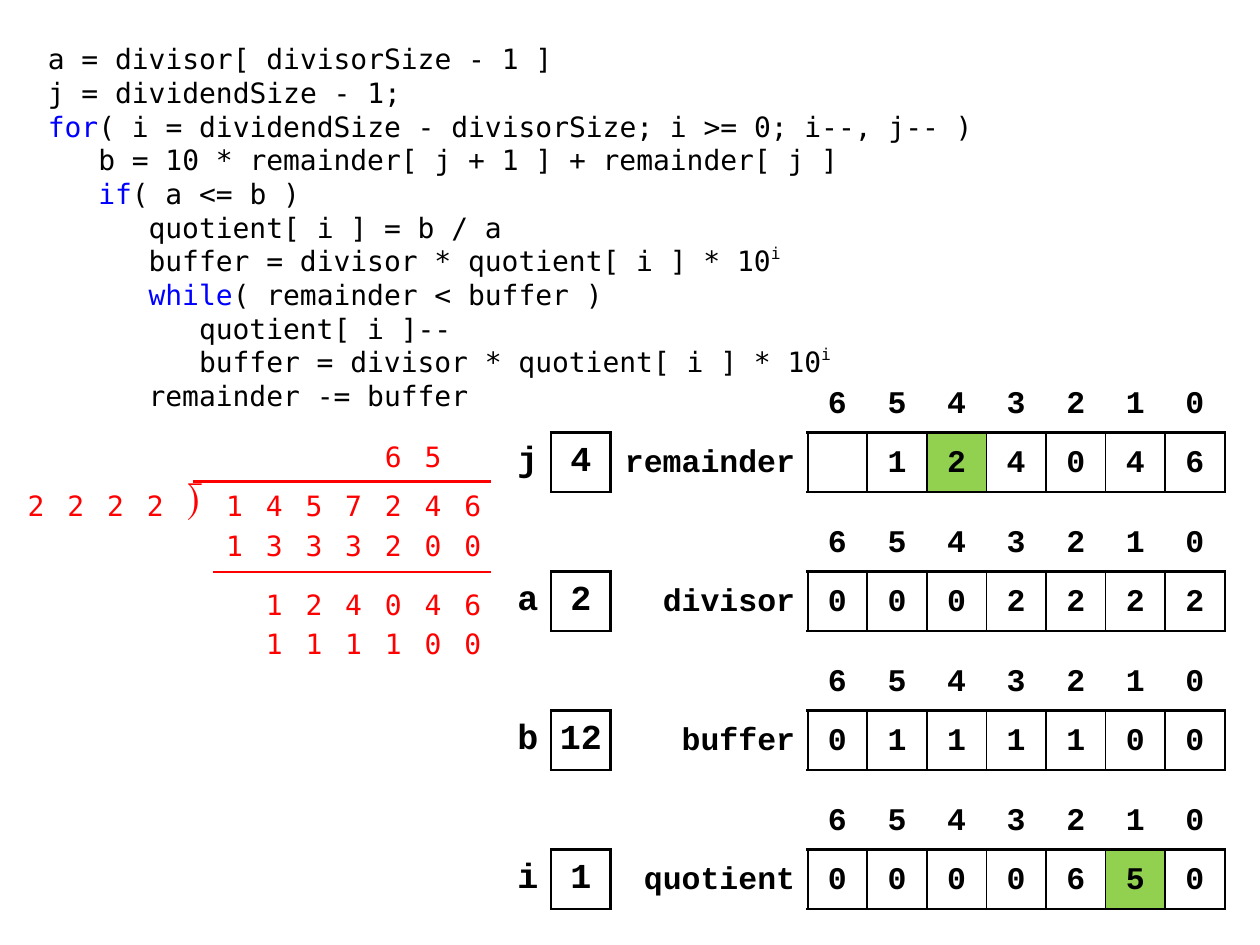
import pptx
import pptx.dml.color
import pptx.enum.shapes
import pptx.enum.text
import pptx.oxml
import pptx.oxml.ns
import pptx.util
from pptx.util import Inches

ALIGN = pptx.enum.text.PP_ALIGN
ANCHOR = pptx.enum.text.MSO_ANCHOR
BLACK, RED, BLUE, GREEN = "000000", "FF0000", "0000FF", "92D050"
CELL = 3.31 / 7
DIGIT = 3.78 / 12
MIDDLE_EDGE = 3.9
ARRAY_LEFT = 4.84
LABEL_WIDTH = 1.57
ARRAY_TOP = 2.96
ARRAY_STEP = 3.31 / 3

CODE = [
    (0, [("a = divisor[ divisorSize - 1 ]", "code")]),
    (0, [("j = dividendSize - 1;", "code")]),
    (0, [("for", "keyword"),
         ("( i = dividendSize - divisorSize; i >= 0; i--, j-- )", "code")]),
    (1, [("b = 10 * remainder[ j + 1 ] + remainder[ j ]", "code")]),
    (1, [("if", "keyword"), ("( a <= b )", "code")]),
    (2, [("quotient[ i ] = b / a", "code")]),
    (2, [("buffer = divisor * quotient[ i ] * 10", "code"), ("i", "power")]),
    (2, [("while", "keyword"), ("( remainder < buffer )", "code")]),
    (3, [("quotient[ i ]--", "code")]),
    (3, [("buffer = divisor * quotient[ i ] * 10", "code"), ("i", "power")]),
    (2, [("remainder -= buffer", "code")]),
]
ARRAYS = [
    ("remainder", " 124046", 2, "j", "4"),
    ("divisor", "0002222", None, "a", "2"),
    ("buffer", "0111100", None, "b", "12"),
    ("quotient", "0000650", 5, "i", "1"),
]
DIVISION = [
    (3.44, " 65 ", ANCHOR.TOP),
    (3.75, "2222⟌1457246", ANCHOR.MIDDLE),
    (4.07, "1333200", ANCHOR.MIDDLE),
    (4.54, " 124046", ANCHOR.MIDDLE),
    (4.85, " 111100", ANCHOR.MIDDLE),
]
RULES = [(1.53, 3.82), (1.69, 4.54)]


def color(value):
    """Turn a hex string into a colour."""
    return pptx.dml.color.RGBColor.from_string(value)


class DivisionSlide:
    """Holds the text styles and the current slide."""

    styles = {
        "code": ({"name": "DejaVu Sans Mono", "size": pptx.util.Pt(16)}, BLACK),
        "keyword": ({"name": "DejaVu Sans Mono", "size": pptx.util.Pt(16)}, BLUE),
        "power": ({"name": "DejaVu Sans Mono", "size": pptx.util.Pt(16)}, BLACK),
        "digit": ({"name": "DejaVu Sans Mono", "size": pptx.util.Pt(16)}, RED),
        "bracket": ({"name": "Cambria", "size": pptx.util.Pt(22)}, RED),
        "array": ({"name": "Courier New", "size": pptx.util.Pt(18), "bold": True}, BLACK),
        "scalar": ({"name": "Courier New", "size": pptx.util.Pt(20), "bold": True}, BLACK),
    }

    def __init__(self, presentation):
        self.slide = presentation.slides.add_slide(presentation.slide_layouts[1])
        title = self.slide.shapes.title.element
        title.getparent().remove(title)

    def add_run(self, paragraph, text, style):
        """Add a run in a named style."""
        run = paragraph.add_run()
        run.text = text
        values, tint = self.styles[style]
        for name, value in values.items():
            setattr(run.font, name, value)
        run.font.color.rgb = color(tint)
        if style == "power":
            run._r.get_or_add_rPr().set("baseline", "44000")

    def add_code(self, left, top, width, height, lines):
        """Write the indented algorithm in the body placeholder."""
        body = self.slide.placeholders[1]
        box = {"left": left, "top": top, "width": width, "height": height}
        for name, value in box.items():
            setattr(body, name, Inches(value))
        frame = body.text_frame
        frame.auto_size = pptx.enum.text.MSO_AUTO_SIZE.NONE
        frame.vertical_anchor = ANCHOR.TOP
        for index, (level, runs) in enumerate(lines):
            paragraph = frame.add_paragraph() if index else frame.paragraphs[0]
            spacing = {"line_spacing": pptx.util.Pt(19.25), "space_before": 0,
                       "space_after": 0, "alignment": ALIGN.LEFT}
            for name, value in spacing.items():
                setattr(paragraph, name, value)
            properties = paragraph._p.get_or_add_pPr()
            properties.set("marL", str(Inches(0.4 * level)))
            properties.set("indent", "0")
            properties.append(pptx.oxml.parse_xml(
                f"<a:buNone {pptx.oxml.ns.nsdecls('a')}/>"))
            for text, style in runs:
                self.add_run(paragraph, text, style)

    def add_table(self, left, top, widths, row_count):
        """Add a plain table with rows of equal height."""
        shape = self.slide.shapes.add_table(
            row_count, len(widths), Inches(left), Inches(top),
            Inches(sum(widths)), Inches(CELL * row_count))
        table = shape.table
        table.first_row = table.horz_banding = False
        style_id = table._tbl.tblPr.find(pptx.oxml.ns.qn("a:tableStyleId"))
        style_id.text = "{2D5ABB26-0587-4C30-8999-92F81FD0307C}"
        for column, width in zip(table.columns, widths):
            column.width = Inches(width)
        for row in table.rows:
            row.height = Inches(CELL)
        return table

    def fill_cell(self, cell, text, style, align=ALIGN.CENTER, anchor=ANCHOR.TOP,
                  inset=(0.1, 0.04), spacing=1.25, borders=None, fill=None):
        """Set the text, borders and fill of one cell."""
        side, end = map(Inches, inset)
        values = {"margin_left": side, "margin_right": side, "margin_top": end,
                  "margin_bottom": end, "vertical_anchor": anchor}
        for name, value in values.items():
            setattr(cell, name, value)
        for edge, points in (borders or {}).items():
            cell._tc.get_or_add_tcPr().append(pptx.oxml.parse_xml(
                f'<a:ln{edge} {pptx.oxml.ns.nsdecls("a")} w="{pptx.util.Pt(points)}">'
                f'<a:solidFill><a:srgbClr val="{BLACK}"/></a:solidFill></a:ln{edge}>'))
        if fill:
            cell.fill.solid()
            cell.fill.fore_color.rgb = color(fill)
        else:
            cell.fill.background()
        paragraph = cell.text_frame.paragraphs[0]
        paragraph.alignment = align
        paragraph.line_spacing = spacing
        if text.strip():
            self.add_run(paragraph, text, style)

    def add_array(self, top, label, digits, marked):
        """Draw a labelled array under its indices."""
        count = len(digits)
        table = self.add_table(ARRAY_LEFT, top, [LABEL_WIDTH] + [CELL] * count, 2)
        self.fill_cell(table.cell(0, 0), "", "array")
        self.fill_cell(table.cell(1, 0), label, "array", ALIGN.RIGHT, borders={"R": 1.5})
        for index, digit in enumerate(digits):
            self.fill_cell(table.cell(0, index + 1), str(count - 1 - index), "array",
                           borders={"B": 1.5})
            borders = {"L": 1 if index else 1.5, "R": 1 if index < count - 1 else 1.5,
                       "T": 1.5, "B": 1.5}
            self.fill_cell(table.cell(1, index + 1), digit, "array", borders=borders,
                           fill=GREEN if index == marked else None)

    def add_scalar(self, top, label, value):
        """Draw a named variable with its boxed value."""
        table = self.add_table(MIDDLE_EDGE, top, [CELL] * 2, 1)
        self.fill_cell(table.cell(0, 0), label, "scalar", ALIGN.RIGHT, ANCHOR.MIDDLE,
                       spacing=1.0, borders={"R": 1.5})
        self.fill_cell(table.cell(0, 1), value, "scalar", anchor=ANCHOR.MIDDLE,
                       inset=(0.1 if len(value) == 1 else 0.04, 0.04), spacing=1.0,
                       borders=dict.fromkeys("LRTB", 1.5))

    def add_digits(self, top, digits, anchor):
        """Draw a row of the long division, flush right."""
        left = MIDDLE_EDGE - DIGIT * len(digits)
        table = self.add_table(left, top, [DIGIT] * len(digits), 1)
        for index, digit in enumerate(digits):
            bracket = digit == "⟌"
            self.fill_cell(table.cell(0, index), digit, "bracket" if bracket else "digit",
                           anchor=ANCHOR.TOP if bracket else anchor, inset=(0.1, 0))

    def add_rule(self, left, top):
        """Draw a red rule up to the right edge of the division."""
        rule = self.slide.shapes.add_connector(
            pptx.enum.shapes.MSO_CONNECTOR.STRAIGHT,
            Inches(left), Inches(top), Inches(MIDDLE_EDGE), Inches(top))
        rule.line.color.rgb = color(RED)
        rule.line.width = pptx.util.Pt(1.5)
        rule._element.spPr.append(pptx.oxml.parse_xml(
            f"<a:effectLst {pptx.oxml.ns.nsdecls('a')}/>"))


def main():
    """Build and save the slide."""
    presentation = pptx.Presentation()
    presentation.slide_width = Inches(10)
    presentation.slide_height = Inches(7.5)
    page = DivisionSlide(presentation)
    page.add_code(0.28, 0.28, 8.19, 2.99, CODE)
    for index, (label, digits, marked, name, value) in enumerate(ARRAYS):
        top = ARRAY_TOP + ARRAY_STEP * index
        page.add_array(top, label, digits, marked)
        page.add_scalar(top + CELL, name, value)
    for top, digits, anchor in DIVISION:
        page.add_digits(top, digits, anchor)
    for left, top in RULES:
        page.add_rule(left, top)
    presentation.save("out.pptx")


if __name__ == "__main__":
    main()
